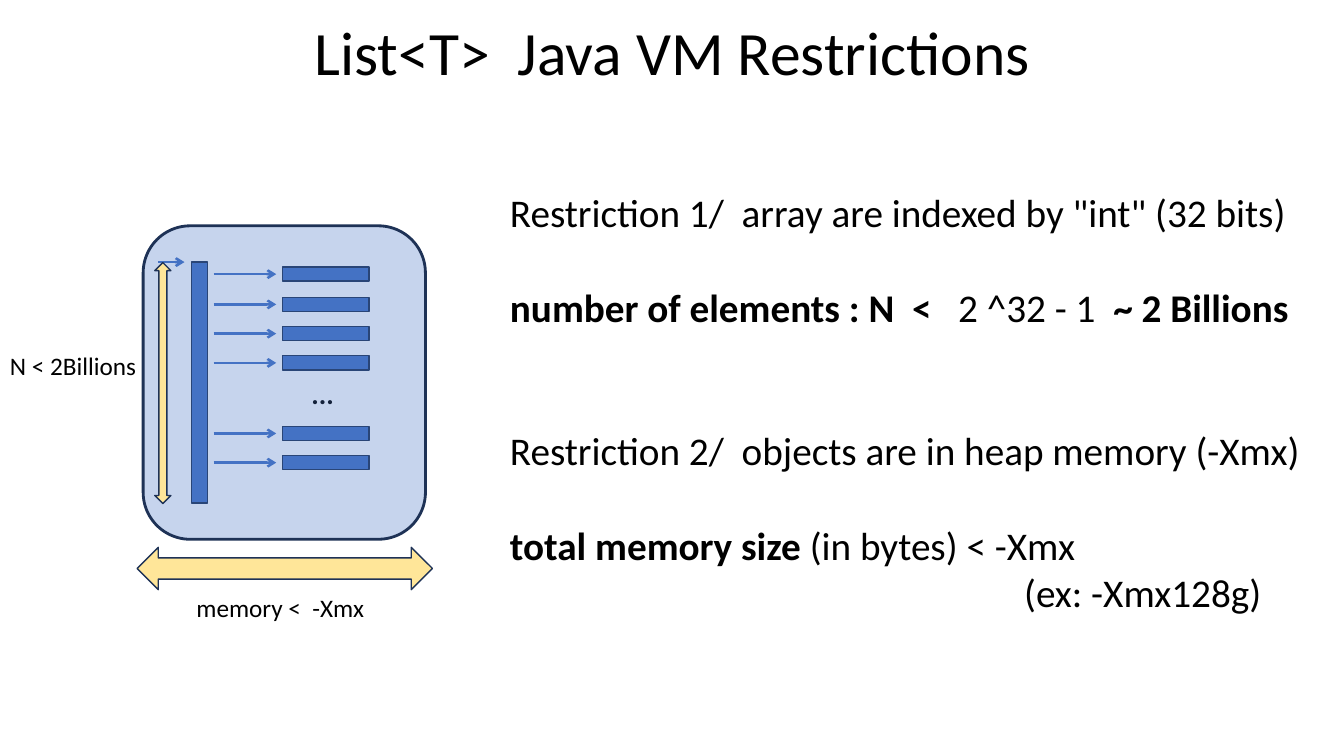
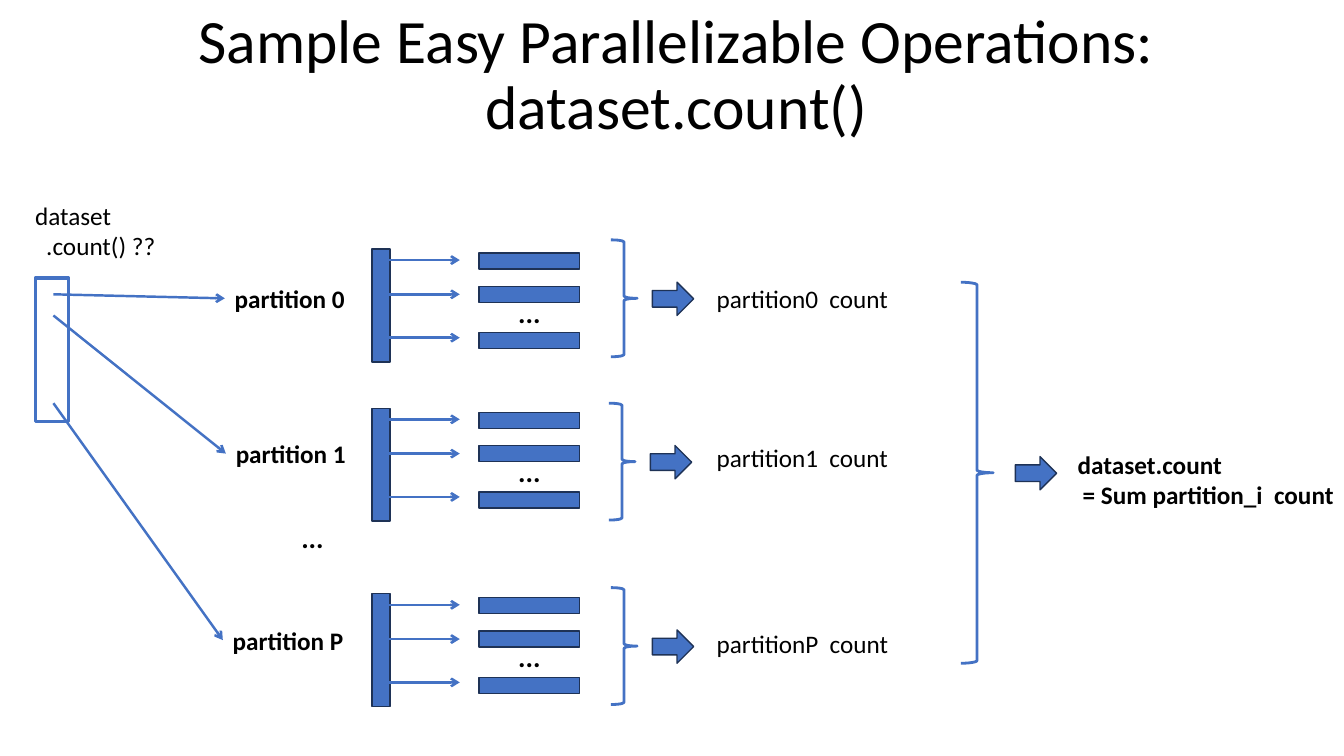
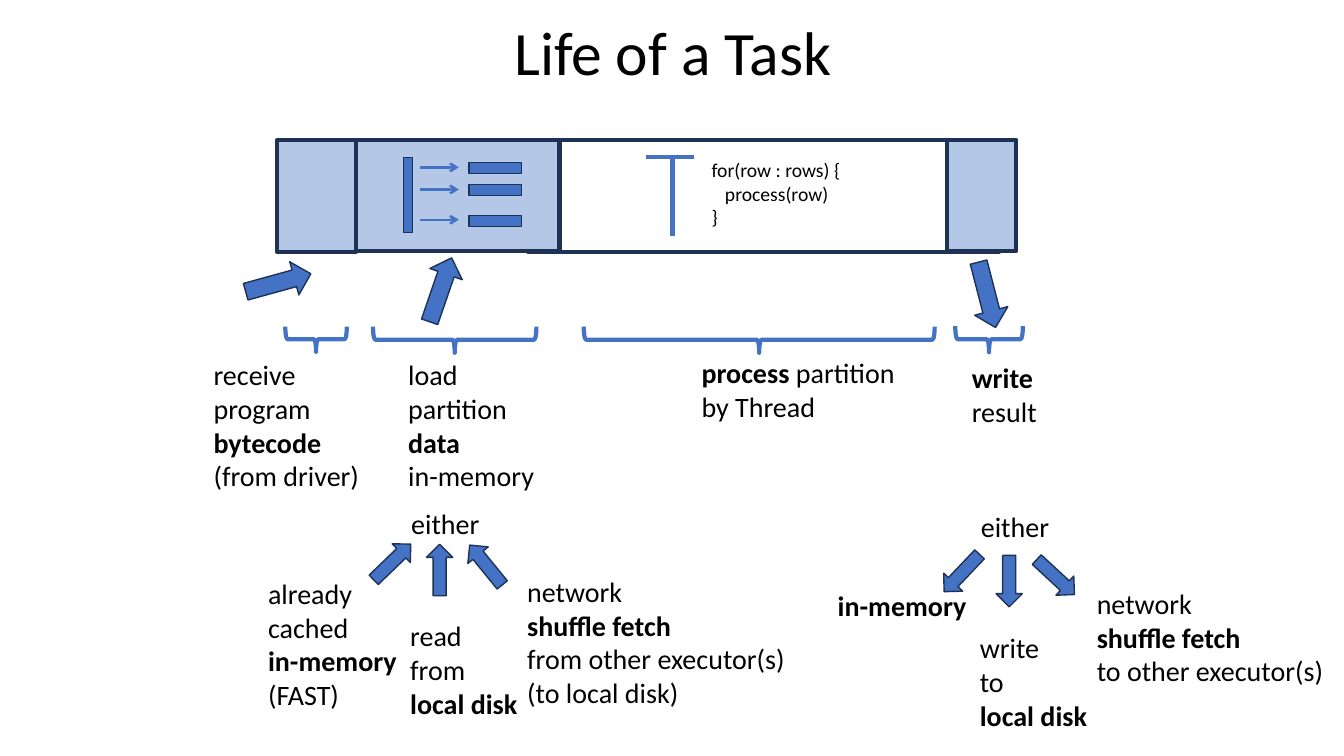
from dataclasses import dataclass
from typing import NamedTuple, Optional

from lxml import etree
from pptx import Presentation
from pptx.dml.color import RGBColor
from pptx.enum import shapes, text
from pptx.oxml.ns import qn
from pptx.util import Inches, Pt

KIND = shapes.MSO_SHAPE


@dataclass(frozen=True)
class Theme:
    font: str = "Calibri"
    ink: RGBColor = RGBColor(0, 0, 0)
    blue: RGBColor = RGBColor(0x44, 0x72, 0xC4)
    navy: RGBColor = RGBColor(0x1E, 0x32, 0x56)
    pale_blue: RGBColor = RGBColor(0xB4, 0xC7, 0xE7)
    yellow: RGBColor = RGBColor(0xFF, 0xE6, 0x99)
    title: int = 44
    statement: int = 28
    step: int = 20
    label: int = 18
    code: int = 14
    arrow_line: float = 1.75


THEME = Theme()


class Box(NamedTuple):
    left: float
    top: float
    width: float
    height: float

    def lengths(self):
        return [Inches(value) for value in self]


class Point(NamedTuple):
    x: float
    y: float


@dataclass(frozen=True)
class Line:
    """One paragraph; words between ** marks are bold."""
    words: str
    before: float = 0
    indent: float = 0


@dataclass(frozen=True)
class Label:
    box: Box
    lines: tuple
    size: int = THEME.label


@dataclass(frozen=True)
class Turned:
    """A preset shape with its rotation in degrees."""
    box: Box
    angle: float = 0


@dataclass(frozen=True)
class ArrayDrawing:
    """A bar whose arrows lead to cells; offsets count from the bar's top."""
    bar: Box
    arrow_left: float
    arrow_right: float
    cell_left: float
    cell_width: float
    cell_height: float
    arrow_offsets: tuple
    cell_offsets: tuple
    dots: Optional[Point] = None


@dataclass(frozen=True)
class Partition:
    name: str
    bar_top: float
    label: Point
    brace: Point
    pointer_start: float


def add_page(deck, title, box):
    page = deck.slides.add_slide(deck.slide_layouts[5])
    holder = page.shapes.title
    holder.left, holder.top, holder.width, holder.height = box.lengths()
    frame = holder.text_frame
    frame.text = title
    frame.auto_size = text.MSO_AUTO_SIZE.NONE
    frame.vertical_anchor = text.MSO_ANCHOR.MIDDLE
    para = frame.paragraphs[0]
    para.alignment = text.PP_ALIGN.CENTER
    para.line_spacing = 0.9
    for span in para.runs:
        style_span(span, THEME.title)
    return page


def style_span(span, size, bold=False):
    span.font.name = THEME.font
    span.font.size = Pt(size)
    span.font.bold = bold
    span.font.color.rgb = THEME.ink


def add_label(page, label):
    box = page.shapes.add_textbox(*label.box.lengths())
    frame = box.text_frame
    frame.word_wrap = False
    frame.auto_size = text.MSO_AUTO_SIZE.SHAPE_TO_FIT_TEXT
    for index, line in enumerate(label.lines):
        line = line if isinstance(line, Line) else Line(line)
        para = frame.add_paragraph() if index else frame.paragraphs[0]
        if line.indent:
            para._p.get_or_add_pPr().set("marL", str(Inches(line.indent)))
        if line.before:
            para.space_before = Pt(line.before)
        for part, words in enumerate(line.words.split("**")):
            if words:
                span = para.add_run()
                span.text = words
                style_span(span, label.size, bold=part % 2 == 1)
    return box


def add_dots(page, left, top):
    add_label(page, Label(Box(left, top, 0.43, 0.44), ("**...**",), THEME.step))


def add_figure(page, kind, box, fill=THEME.blue, line=THEME.navy, weight=1.0, angle=0.0):
    figure = page.shapes.add_shape(kind, *box.lengths())
    figure.shadow.inherit = False
    figure.rotation = angle
    if fill is None:
        figure.fill.background()
    else:
        figure.fill.solid()
        figure.fill.fore_color.rgb = fill
    figure.line.color.rgb = line
    figure.line.width = Pt(weight)
    return figure


def add_brace(page, kind, box, weight, angle=0.0):
    add_figure(page, kind, box, None, THEME.blue, weight, angle)


def set_opacity(figure, percent):
    color = next(figure._element.spPr.iter(qn("a:srgbClr")))
    etree.SubElement(color, qn("a:alpha")).set("val", str(percent * 1000))


def add_line(page, start, end, weight=THEME.arrow_line, arrow=True):
    line = page.shapes.add_connector(
        shapes.MSO_CONNECTOR.STRAIGHT, *[Inches(value) for value in (*start, *end)])
    line.line.color.rgb = THEME.blue
    line.line.width = Pt(weight)
    properties = line._element.spPr
    if arrow:
        etree.SubElement(properties.find(qn("a:ln")), qn("a:tailEnd")).set("type", "arrow")
    etree.SubElement(properties, qn("a:effectLst"))
    return line


def draw_array(page, array):
    add_figure(page, KIND.RECTANGLE, array.bar)
    for arrow_offset, cell_offset in zip(array.arrow_offsets, array.cell_offsets):
        y = array.bar.top + arrow_offset
        add_line(page, Point(array.arrow_left, y), Point(array.arrow_right, y))
        add_figure(page, KIND.RECTANGLE, Box(
            array.cell_left, array.bar.top + cell_offset, array.cell_width, array.cell_height))
    if array.dots:
        add_dots(page, array.dots.x, array.bar.top + array.dots.y)


def build_restrictions(deck):
    page = add_page(deck, "List<T>  Java VM Restrictions", Box(0.92, 0.1, 11.5, 0.9))
    gap = 34.2
    add_label(page, Label(Box(4.96, 1.82, 8.13, 4.34), (
        "Restriction 1/  array are indexed by \"int\" (32 bits)",
        Line("**number of elements : N  <**   2 ^32 - 1  **~ 2 Billions**", gap),
        Line("Restriction 2/  objects are in heap memory (-Xmx)", 2 * gap),
        Line("**total memory size** (in bytes) < -Xmx", gap),
        Line("(ex: -Xmx128g)", indent=5.1),
    ), THEME.statement))
    draw_array(page, ArrayDrawing(
        bar=Box(1.9, 2.6, 0.16, 2.39), arrow_left=2.12, arrow_right=2.74,
        cell_left=2.8, cell_width=0.86, cell_height=0.14,
        arrow_offsets=(0.12, 0.42, 0.71, 1.0, 1.7, 1.99),
        cell_offsets=(0.05, 0.35, 0.64, 0.93, 1.63, 1.92),
        dots=Point(2.99, 1.09)))
    add_line(page, Point(1.57, 2.6), Point(1.83, 2.6))
    heap = add_figure(page, KIND.ROUNDED_RECTANGLE, Box(1.42, 2.24, 2.8, 3.11), weight=2)
    set_opacity(heap, 30)
    for extent in (Turned(Box(1.36, 5.43, 2.93, 0.42)),
                   Turned(Box(0.42, 3.72, 2.39, 0.16), 90)):
        add_figure(page, KIND.LEFT_RIGHT_ARROW, extent.box, THEME.yellow, angle=extent.angle)
    add_label(page, Label(Box(1.85, 5.83, 1.88, 0.4), ("memory <  -Xmx",)))
    add_label(page, Label(Box(0, 3.43, 1.47, 0.4), ("N < 2Billions",)))


def draw_partition(page, part):
    draw_array(page, ArrayDrawing(
        bar=Box(3.69, part.bar_top, 0.18, 1.12), arrow_left=3.83, arrow_right=4.56,
        cell_left=4.75, cell_width=1, cell_height=0.16,
        arrow_offsets=(0.11, 0.45, 0.88), cell_offsets=(0.04, 0.37, 0.83),
        dots=Point(5.04, 0.41)))
    name = add_label(page, Label(Box(*part.label, 1.3, 0.4), (f"**partition {part.name}**",)))
    pointer = add_line(page, Point(0.53, part.pointer_start),
                       Point(part.label.x, part.label.y + 0.2))
    pointer.end_connect(name, 1)
    add_brace(page, KIND.RIGHT_BRACE, Box(*part.brace, 0.26, 1.16), 2)
    add_figure(page, KIND.RIGHT_ARROW,
               Box(part.brace.x + 0.41, part.brace.y + 0.42, 0.41, 0.33))
    add_label(page, Label(Box(7.01, part.bar_top + 0.29, 1.92, 0.4),
                          (f"partition{part.name}  count",)))


def build_count(deck):
    page = add_page(deck, "Sample Easy Parallelizable Operations:\vdataset.count()",
                    Box(0.96, 0, 11.5, 1.52))
    add_label(page, Label(Box(0.25, 1.94, 1.41, 0.71),
                          ("dataset", Line(".count() ??", indent=0.11))))
    add_figure(page, KIND.RECTANGLE, Box(0.35, 2.76, 0.33, 1.42), None, THEME.blue, 2.5)
    for part in (
        Partition("0", 2.47, Point(2.23, 2.76), Point(6.06, 2.38), 2.92),
        Partition("1", 4.05, Point(2.24, 4.3), Point(6.04, 4), 3.13),
        Partition("P", 5.89, Point(2.21, 6.15), Point(6.06, 5.83), 4),
    ):
        draw_partition(page, part)
    add_dots(page, 2.89, 5.11)
    add_brace(page, KIND.RIGHT_BRACE, Box(9.53, 2.8, 0.32, 3.78), 2)
    add_figure(page, KIND.RIGHT_ARROW, Box(10.07, 4.53, 0.41, 0.33))
    add_label(page, Label(Box(10.59, 4.41, 2.78, 0.71), (
        "**dataset.count**", Line("**= Sum partition_i  count**", indent=0.05))))


TASK_LABELS = (
    Label(Box(2.02, 3.5, 1.66, 1.45),
          ("receive", "program", "**bytecode**", "(from driver)"), THEME.step),
    Label(Box(3.95, 3.5, 1.46, 1.45),
          ("load", "partition", "**data**", "in-memory"), THEME.step),
    Label(Box(6.86, 3.48, 2.14, 0.77), ("**process** partition", "by Thread"), THEME.step),
    Label(Box(9.54, 3.53, 0.88, 0.77), ("**write**", "result"), THEME.step),
    Label(Box(3.98, 4.98, 0.89, 0.44), ("either",), THEME.step),
    Label(Box(2.56, 5.67, 1.49, 1.45),
          ("already", "cached", "**in-memory**", "(FAST)"), THEME.step),
    Label(Box(3.97, 6.09, 1.27, 1.11), ("read", "from", "**local disk**"), THEME.step),
    Label(Box(5.13, 5.65, 2.78, 1.45),
          ("network", "**shuffle fetch**", "from other executor(s)", "(to local disk)"),
          THEME.step),
    Label(Box(9.63, 5.01, 0.89, 0.44), ("either",), THEME.step),
    Label(Box(8.21, 5.79, 1.49, 0.44), ("**in-memory**",), THEME.step),
    Label(Box(9.62, 6.21, 1.27, 1.11), ("write", "to", "**local disk**"), THEME.step),
    Label(Box(10.78, 5.77, 2.47, 1.11),
          ("network", "**shuffle fetch**", "to other executor(s)"), THEME.step),
    Label(Box(6.96, 1.52, 1.48, 0.81),
          ("for(row : rows) {", "   process(row)", "}"), THEME.code),
)

STEP_ARROWS = (
    Turned(Box(2.59, 2.47, 0.34, 0.67), 254.6),
    Turned(Box(4.2, 2.54, 0.34, 0.67), 199),
    Turned(Box(9.62, 2.59, 0.34, 0.67), 345.5),
    Turned(Box(3.76, 5.32, 0.26, 0.51), 226),
    Turned(Box(4.23, 5.4, 0.26, 0.51), 180),
    Turned(Box(4.69, 5.35, 0.26, 0.51), 140.8),
    Turned(Box(9.41, 5.43, 0.26, 0.51), 43.5),
    Turned(Box(9.88, 5.51, 0.26, 0.51)),
    Turned(Box(10.34, 5.47, 0.26, 0.51), 312.8),
)


def build_task(deck):
    page = add_page(deck, "Life of a Task", Box(0.16, 0.1, 13.03, 0.9))
    for box, fill in (
        (Box(5.24, 1.39, 4.67, 1.11), None),
        (Box(3.53, 1.39, 2.02, 1.1), THEME.pale_blue),
        (Box(9.39, 1.39, 0.69, 1.1), THEME.pale_blue),
        (Box(2.75, 1.39, 0.78, 1.11), THEME.pale_blue),
    ):
        add_figure(page, KIND.RECTANGLE, box, fill, weight=3)
    add_line(page, Point(6.67, 1.56), Point(6.67, 2.34), 3, arrow=False)
    add_line(page, Point(6.41, 1.56), Point(6.88, 1.56), 3, arrow=False)
    draw_array(page, ArrayDrawing(
        bar=Box(4, 1.56, 0.09, 0.75), arrow_left=4.17, arrow_right=4.55,
        cell_left=4.65, cell_width=0.52, cell_height=0.11,
        arrow_offsets=(0.1, 0.32, 0.62), cell_offsets=(0.05, 0.27, 0.58)))
    for box in (Box(3.01, 3.06, 0.25, 0.61), Box(4.38, 2.56, 0.26, 1.62),
                Box(7.4, 1.63, 0.26, 3.48), Box(9.68, 3.03, 0.26, 0.67)):
        add_brace(page, KIND.LEFT_BRACE, box, 3, angle=270)
    for arrow in STEP_ARROWS:
        add_figure(page, KIND.DOWN_ARROW, arrow.box, angle=arrow.angle)
    for label in TASK_LABELS:
        add_label(page, label)


def main():
    deck = Presentation()
    deck.slide_width, deck.slide_height = Inches(13.33), Inches(7.5)
    build_restrictions(deck)
    build_count(deck)
    build_task(deck)
    deck.save("out.pptx")


if __name__ == "__main__":
    main()
